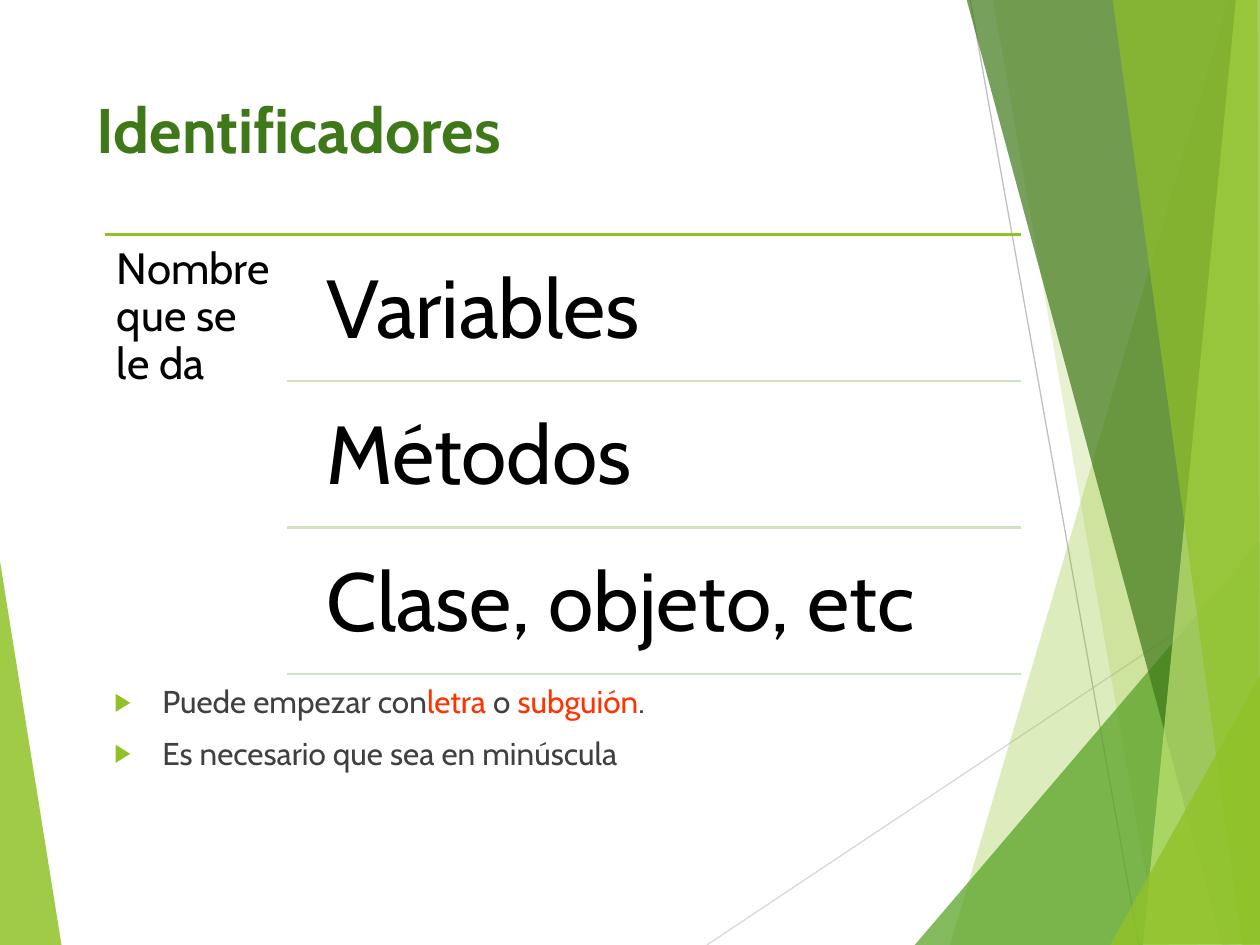
from typing import NamedTuple

import pptx
import pptx.dml.color
import pptx.enum.shapes
import pptx.enum.text
import pptx.oxml.ns
import pptx.util
from lxml import etree
from pptx.util import Inches

FONT = "Cabin"
GREEN = "90C226"
DARK_GREEN = "3F7819"
GREY = "404040"
RED = "FF3300"
BLACK = "000000"


class Facet(NamedTuple):
    points: list[tuple[float, float]]
    color: str
    opacity: int


class Rule(NamedTuple):
    start: tuple[float, float]
    end: tuple[float, float]
    color: str
    width: float


class Run(NamedTuple):
    text: str
    color: str


LEFT_FACET = Facet([(-0.01, 4.39), (0.49, 7.51), (-0.01, 7.5)], GREEN, 85)
BACKGROUND_RULES = [
    Rule((5.61, 7.5), (10.01, 4.57), "D9D9D9", 0.75),
    Rule((7.7, 0), (9.04, 7.5), "BFBFBF", 0.75),
]
RIGHT_FACETS = [
    Facet([(9.75, 0), (7.54, 7.5), (10.02, 7.51), (10.01, 0.01)], GREEN, 30),
    Facet([(7.88, -0.01), (9.19, 7.5), (10.01, 7.5), (10.01, -0.01)], GREEN, 20),
    Facet([(7.26, 7.5), (10, 4.29), (10.01, 7.5)], "54A021", 72),
    Facet([(7.67, -0.01), (9.7, 7.5), (10.01, 7.49), (10.01, -0.01)], DARK_GREEN, 70),
    Facet([(9.81, -0.01), (9.07, 7.5), (10.01, 7.5), (10, -0.01)], "C0E474", 70),
    Facet([(8.83, -0.01), (9.86, 7.5), (10, 7.5), (9.98, -0.01)], GREEN, 65),
    Facet([(8.81, 7.5), (10.01, 5.35), (10.01, 7.49)], GREEN, 80),
]

# Layout of the list of named things
LIST_LEFT, LIST_RIGHT, LIST_TOP, LIST_HEIGHT = 0.83, 8.1, 1.86, 3.49
ITEM_RULE_LEFT, ITEM_LEFT, ITEM_GAP, ITEM_HEIGHT = 2.28, 2.39, 0.06, 1.11
ITEMS = ["Variables", "Métodos", "Clase, objeto, etc"]

NOTES = [
    [Run("Puede empezar con", GREY), Run("letra", RED), Run(" o ", GREY),
     Run("subguión", RED), Run(".", GREY)],
    [Run("Es necesario que sea en minúscula", GREY)],
]


def rgb(color: str) -> pptx.dml.color.RGBColor:
    return pptx.dml.color.RGBColor.from_string(color)


def add_element(parent, tag: str, **attributes: str):
    element = etree.SubElement(parent, pptx.oxml.ns.qn(tag))
    for name, value in attributes.items():
        element.set(name, value)
    return element


def draw_facet(slide, facet: Facet) -> None:
    points = [(Inches(x), Inches(y)) for x, y in facet.points]
    builder = slide.shapes.build_freeform(*points[0])
    builder.add_line_segments(points[1:], close=True)
    shape = builder.convert_to_shape()
    shape.shadow.inherit = False
    shape.line.fill.background()
    shape.fill.solid()
    shape.fill.fore_color.rgb = rgb(facet.color)
    color_element = shape.fill._xPr.find(".//" + pptx.oxml.ns.qn("a:srgbClr"))
    add_element(color_element, "a:alpha", val=str(facet.opacity * 1000))


def draw_rule(slide, rule: Rule) -> None:
    connector = slide.shapes.add_connector(
        pptx.enum.shapes.MSO_CONNECTOR.STRAIGHT,
        *(Inches(value) for value in (*rule.start, *rule.end)))
    connector.line.color.rgb = rgb(rule.color)
    connector.line.width = pptx.util.Pt(rule.width)
    add_element(connector._element.spPr, "a:effectLst")


def add_bullet(paragraph) -> None:
    properties = paragraph._p.get_or_add_pPr()
    properties.set("marL", str(Inches(0.38)))
    properties.set("indent", str(-Inches(0.38)))
    add_element(add_element(properties, "a:buClr"), "a:srgbClr", val=GREEN)
    add_element(properties, "a:buSzPct", val="80000")
    add_element(properties, "a:buFont", typeface="Arial")
    add_element(properties, "a:buChar", char="▶")


def add_text(slide, paragraphs: list[list[Run]], left: float, top: float,
             width: float, height: float, *, size: float, bold: bool = False,
             line_spacing: float = 1.0, space_before: float = 0,
             bullets: bool = False, side_inset: float = 0.1,
             top_inset: float = 0.05) -> None:
    box = slide.shapes.add_textbox(
        Inches(left), Inches(top), Inches(width), Inches(height))
    frame = box.text_frame
    frame.word_wrap = True
    frame.vertical_anchor = pptx.enum.text.MSO_ANCHOR.TOP
    frame.margin_left = frame.margin_right = Inches(side_inset)
    frame.margin_top = frame.margin_bottom = Inches(top_inset)
    for index, runs in enumerate(paragraphs):
        paragraph = frame.add_paragraph() if index else frame.paragraphs[0]
        if bullets:
            add_bullet(paragraph)
        paragraph.line_spacing = line_spacing
        if index:
            paragraph.space_before = pptx.util.Pt(space_before)
        for part in runs:
            run = paragraph.add_run()
            run.text = part.text
            run.font.name = FONT
            run.font.size = pptx.util.Pt(size)
            run.font.bold = bold
            run.font.color.rgb = rgb(part.color)


def main() -> None:
    presentation = pptx.Presentation()
    presentation.slide_width = Inches(10)
    presentation.slide_height = Inches(7.5)
    slide = presentation.slides.add_slide(presentation.slide_layouts[6])

    # Faceted background
    draw_facet(slide, LEFT_FACET)
    for rule in BACKGROUND_RULES:
        draw_rule(slide, rule)
    for facet in RIGHT_FACETS:
        draw_facet(slide, facet)

    # Title and notes
    add_text(slide, [[Run("Identificadores", DARK_GREEN)]],
             0.67, 0.67, 6.94, 1.44, size=36, bold=True)
    add_text(slide, NOTES, 0.81, 5.4, 8.7, 1.54, size=18,
             line_spacing=0.9, space_before=10, bullets=True)

    # Heading of the list
    draw_rule(slide, Rule((LIST_LEFT, LIST_TOP), (LIST_RIGHT, LIST_TOP), GREEN, 1.5))
    add_text(slide, [[Run("Nombre que se le da", BLACK)]],
             LIST_LEFT, LIST_TOP, ITEM_RULE_LEFT - LIST_LEFT, LIST_HEIGHT,
             size=25, line_spacing=0.9, top_inset=0.1)

    # Items, each closed by a rule
    pitch = LIST_HEIGHT / len(ITEMS)
    for index, item in enumerate(ITEMS):
        top = LIST_TOP + index * pitch
        add_text(slide, [[Run(item, BLACK)]], ITEM_LEFT, top + ITEM_GAP,
                 LIST_RIGHT - ITEM_LEFT, ITEM_HEIGHT, size=47,
                 line_spacing=0.9, side_inset=0.2, top_inset=0.2)
        bottom = top + pitch
        draw_rule(slide, Rule((ITEM_RULE_LEFT, bottom), (LIST_RIGHT, bottom),
                              "D1E3BE", 1.5))

    presentation.save("out.pptx")


if __name__ == "__main__":
    main()
